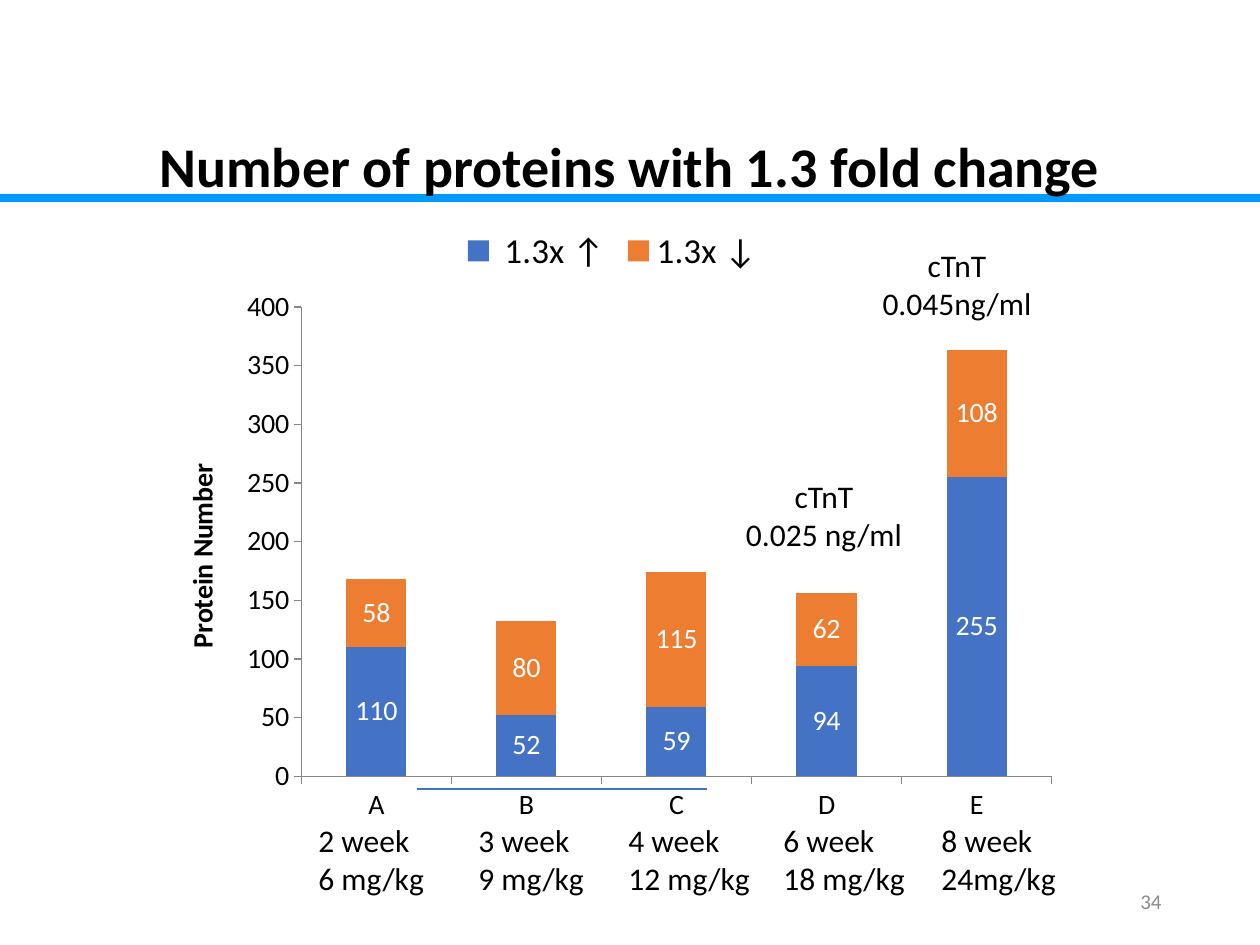
from lxml import etree
from pptx import Presentation
from pptx.chart.data import CategoryChartData
from pptx.dml.color import RGBColor
from pptx.enum.chart import XL_CHART_TYPE, XL_LABEL_POSITION, XL_LEGEND_POSITION, XL_TICK_MARK
from pptx.enum.shapes import MSO_CONNECTOR
from pptx.enum.text import MSO_ANCHOR, PP_ALIGN
from pptx.oxml import parse_xml
from pptx.oxml.ns import nsdecls, qn
from pptx.util import Emu, Pt

EMU_PER_PX = 914400 / 126
FONT = "Calibri"
BLACK = RGBColor(0x00, 0x00, 0x00)
WHITE = RGBColor(0xFF, 0xFF, 0xFF)
GRAY = RGBColor(0x8C, 0x8C, 0x8C)
AXIS_GRAY = RGBColor(0x86, 0x86, 0x86)
SKY = RGBColor(0x00, 0x99, 0xFF)
BLUE = RGBColor(0x44, 0x72, 0xC4)
ORANGE = RGBColor(0xED, 0x7D, 0x31)

CATEGORIES = ["A", "B", "C", "D", "E"]
SERIES = [
    (" 1.3x ↑", [110, 52, 59, 94, 255], BLUE),
    ("1.3x ↓", [58, 80, 115, 62, 108], ORANGE),
]
DOSES = [
    (306, "2 week", "6 mg/kg"),
    (466, "3 week", "9 mg/kg"),
    (616, "4 week", "12 mg/kg"),
    (771, "6 week", "18 mg/kg"),
    (929, "8 week", "24mg/kg"),
]
TROPONIN = [(729, 471, "0.025 ng/ml"), (862, 240, "0.045ng/ml")]


def px(n):
    return Emu(round(n * EMU_PER_PX))


def style_font(font, size, color=BLACK, bold=False):
    font.name = FONT
    font.size = Pt(size)
    font.bold = bold
    font.color.rgb = color


def add_text(s, box, lines, size, color=BLACK, bold=False,
             align=PP_ALIGN.LEFT, anchor=MSO_ANCHOR.TOP):
    tf = s.shapes.add_textbox(*map(px, box)).text_frame
    tf.word_wrap = True
    tf.vertical_anchor = anchor
    tf.text = "\n".join(lines)
    for p in tf.paragraphs:
        p.alignment = align
        for r in p.runs:
            style_font(r.font, size, color, bold)


def add_rule(s, x1, x2, y, color, width):
    line = s.shapes.add_connector(MSO_CONNECTOR.STRAIGHT, px(x1), px(y), px(x2), px(y))
    line.line.color.rgb = color
    line.line.width = Pt(width)
    etree.SubElement(line._element.spPr, qn("a:effectLst"))


def style_axis(axis):
    axis.has_major_gridlines = False
    axis.major_tick_mark = XL_TICK_MARK.OUTSIDE
    axis.minor_tick_mark = XL_TICK_MARK.NONE
    axis.format.line.color.rgb = AXIS_GRAY
    axis.format.line.width = Pt(0.75)
    style_font(axis.tick_labels.font, 16)


def set_plot_layout(chart, x, y, w, h):
    plot_area = chart._chartSpace.chart.plotArea
    for old in plot_area.findall(qn("c:layout")):
        plot_area.remove(old)
    plot_area.insert(0, parse_xml(
        f'<c:layout {nsdecls("c")}><c:manualLayout><c:layoutTarget val="inner"/>'
        '<c:xMode val="edge"/><c:yMode val="edge"/>'
        f'<c:x val="{x}"/><c:y val="{y}"/><c:w val="{w}"/><c:h val="{h}"/>'
        '</c:manualLayout></c:layout>'))


def add_protein_chart(s, box):
    data = CategoryChartData()
    data.categories = CATEGORIES
    for name, values, _ in SERIES:
        data.add_series(name, values)
    chart = s.shapes.add_chart(XL_CHART_TYPE.COLUMN_STACKED, *map(px, box), data).chart
    style_font(chart.font, 16)
    chart.has_title = False
    chart.has_legend = True
    chart.legend.position = XL_LEGEND_POSITION.TOP
    chart.legend.include_in_layout = False
    style_font(chart.legend.font, 20)

    style_axis(chart.category_axis)
    axis = chart.value_axis
    style_axis(axis)
    axis.minimum_scale, axis.maximum_scale, axis.major_unit = 0, 400, 50
    axis.axis_title.text_frame.text = "Protein Number"
    style_font(axis.axis_title.text_frame.paragraphs[0].runs[0].font, 16, bold=True)

    plot = chart.plots[0]
    plot.gap_width, plot.overlap, plot.vary_by_categories = 150, 100, False
    for series, (_, _, color) in zip(plot.series, SERIES):
        series.format.fill.solid()
        series.format.fill.fore_color.rgb = color
        labels = series.data_labels
        labels.show_value = True
        labels.position = XL_LABEL_POSITION.CENTER
        style_font(labels.font, 16, WHITE)
    set_plot_layout(chart, 0.16, 0.15, 0.82, 0.75)


def main():
    prs = Presentation()
    prs.slide_width, prs.slide_height = px(1260), px(945)
    s = prs.slides.add_slide(prs.slide_layouts[6])
    for x, *lines in DOSES:
        add_text(s, (x, 815, 160, 90), lines, 18)
    add_rule(s, 0, 1260, 198, SKY, 4.5)
    add_text(s, (0, 134, 1260, 62), ["Number of proteins with 1.3 fold change"], 32,
             bold=True, align=PP_ALIGN.CENTER, anchor=MSO_ANCHOR.MIDDLE)
    add_rule(s, 417, 707, 789, BLUE, 0.75)
    add_protein_chart(s, (155, 213, 915, 626))
    for x, y, level in TROPONIN:
        add_text(s, (x, y, 190, 90), ["cTnT", level], 18, align=PP_ALIGN.CENTER)
    add_text(s, (890, 876, 284, 50), ["34"], 12, GRAY,
             align=PP_ALIGN.RIGHT, anchor=MSO_ANCHOR.MIDDLE)
    prs.save("out.pptx")


if __name__ == "__main__":
    main()
